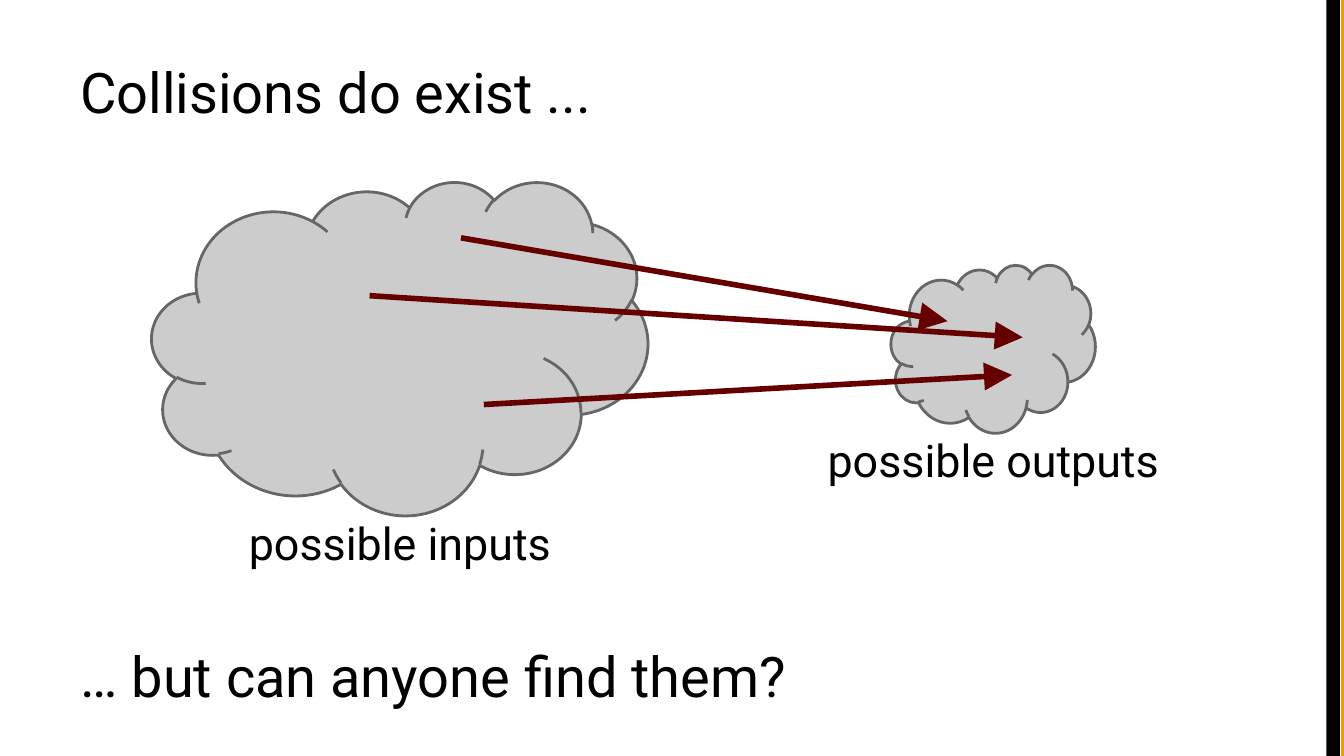
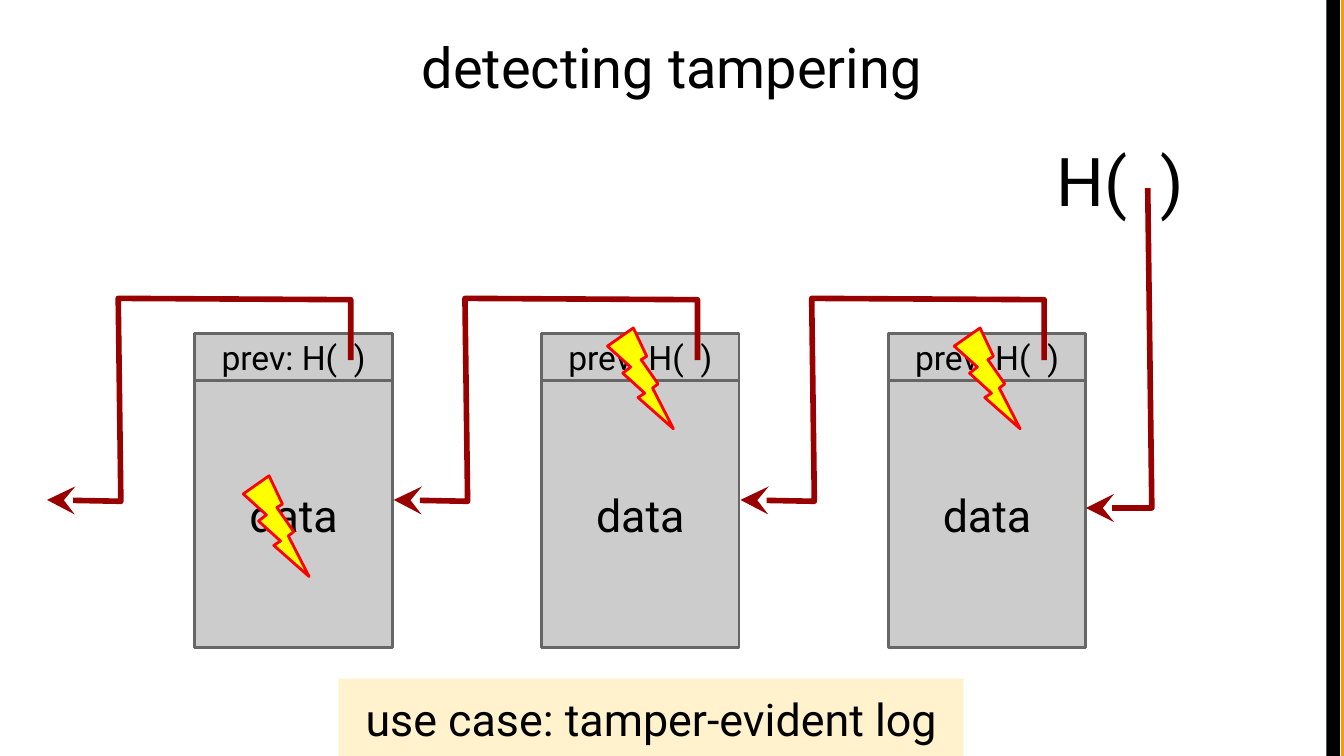
import pptx
import pptx.util
import pptx.dml.color
import pptx.enum.shapes
import pptx.enum.text
import pptx.oxml.ns
import lxml.etree

RGB = pptx.dml.color.RGBColor
KIND = pptx.enum.shapes.MSO_SHAPE
ALIGN = pptx.enum.text.PP_ALIGN
ANCHOR = pptx.enum.text.MSO_ANCHOR

PX = 9144  # 100 px to the inch
WIDE, HIGH = 1000, 563
FONT = "Roboto"

BLACK = RGB(0x00, 0x00, 0x00)
ORANGE = RGB(0xFF, 0x99, 0x00)
GREY = RGB(0xCC, 0xCC, 0xCC)
EDGE = RGB(0x66, 0x66, 0x66)
MAROON = RGB(0x66, 0x00, 0x00)
CRIMSON = RGB(0x99, 0x00, 0x00)
CREAM = RGB(0xFF, 0xF2, 0xCC)
YELLOW = RGB(0xFF, 0xFF, 0x00)
RED = RGB(0xFF, 0x00, 0x00)


def scale(box):
    return [n * PX for n in box]


def write(shape, text, size, align, anchor=ANCHOR.TOP):
    frame = shape.text_frame
    frame.word_wrap = True
    frame.vertical_anchor = anchor
    frame.margin_left = frame.margin_right = 10 * PX
    frame.margin_top = frame.margin_bottom = 10 * PX
    para = frame.paragraphs[0]
    para.alignment = align
    run = para.add_run()
    run.text = text
    run.font.name = FONT
    run.font.size = pptx.util.Pt(size)
    run.font.color.rgb = BLACK


def label(shapes, box, text, size, align=ALIGN.CENTER):
    write(shapes.add_textbox(*scale(box)), text, size, align)


def solid(shapes, kind, box, fill, line=None):
    shape = shapes.add_shape(kind, *scale(box))
    shape.shadow.inherit = False
    shape.fill.solid()
    shape.fill.fore_color.rgb = fill
    if line is None:
        shape.line.fill.background()
    else:
        shape.line.color.rgb = line
        shape.line.width = pptx.util.Pt(1.5)
    return shape


def point(shape, color, head):
    """Style a line or path and put a large arrowhead at its end."""
    shape.line.color.rgb = color
    shape.line.width = pptx.util.Pt(3)
    edge = shape.line._get_or_add_ln()
    lxml.etree.SubElement(edge, pptx.oxml.ns.qn("a:round"))
    lxml.etree.SubElement(edge, pptx.oxml.ns.qn("a:tailEnd"),
                          type=head, w="lg", len="lg")


def arrow(shapes, start, end):
    line = shapes.add_connector(
        pptx.enum.shapes.MSO_CONNECTOR.STRAIGHT, *scale(start + end))
    point(line, MAROON, "triangle")
    lxml.etree.SubElement(
        line._element.spPr, pptx.oxml.ns.qn("a:effectLst"))


def hook(shapes, left, top, dots):
    """Draw a bent arrow through dots measured from left, top."""
    dots = [(left + x, top + y) for x, y in dots]
    pen = shapes.build_freeform(*dots[0], scale=PX)
    pen.add_line_segments(dots[1:], close=False)
    path = pen.convert_to_shape()
    path.shadow.inherit = False
    path.fill.background()
    point(path, CRIMSON, "stealth")


def start(deck):
    """Add a blank slide with the bands at its right edge."""
    shapes = deck.slides.add_slide(deck.slide_layouts[6]).shapes
    for left, fill in ((998, ORANGE), (987, BLACK)):
        solid(shapes, KIND.RECTANGLE, (left, 0, 10, HIGH), fill)
    return shapes


def cloud(shapes, box, text, drop, width):
    """Draw a cloud with a caption drop px from its lower edge."""
    left, top, wide, high = box
    solid(shapes, KIND.CLOUD, box, GREY, EDGE)
    mid = left + wide // 2
    label(shapes, (mid - width // 2, top + high + drop, width, 50), text, 24)


def block(shapes, box):
    """Draw a data block with its header and the pointer to the left."""
    left, top, wide, high = box
    head = 35
    group = shapes.add_group_shape().shapes
    for text, size, y, tall in (("data", 24, head, high - head),
                                ("prev: H(  )", 18, 0, head)):
        part = solid(group, KIND.RECTANGLE, (left, top + y, wide, tall),
                     GREY, EDGE)
        write(part, text, size, ALIGN.CENTER, ANCHOR.MIDDLE)
    hook(shapes, left, top,
         [(116, 20), (116, -25), (-57, -26), (-55, 125), (-110, 124)])


def collide(deck):
    shapes = start(deck)
    label(shapes, (50, 33, 900, 95), "Collisions do exist ...", 30, ALIGN.LEFT)
    cloud(shapes, (113, 135, 369, 248), "possible inputs", -9, 255)
    cloud(shapes, (663, 197, 152, 125), "possible outputs", -10, 282)
    for tail, tip in (((343, 177), (705, 239)),
                      ((360, 301), (753, 279)),
                      ((275, 220), (761, 251))):
        arrow(shapes, tail, tip)
    label(shapes, (50, 467, 900, 95), "… but can anyone find them?", 30,
          ALIGN.LEFT)


def tamper(deck):
    shapes = start(deck)
    label(shapes, (50, 14, 900, 75), "detecting tampering", 30)
    top, wide, high = 248, 147, 234
    lefts = [145 + 258 * i for i in range(3)]
    for left in lefts:
        block(shapes, (left, top, wide, high))
    label(shapes, (776, 94, 155, 50), "H(  )", 36, ALIGN.LEFT)
    hook(shapes, lefts[-1] + wide, top, [(46, -108), (49, 130), (0, 130)])
    note = solid(shapes, KIND.RECTANGLE, (252, 505, 465, 62), CREAM)
    write(note, "use case: tamper-evident log", 24, ALIGN.CENTER)
    for left, (x, y) in zip(lefts, ((36, 106), (49, -4), (49, -4))):
        solid(shapes, KIND.LIGHTNING_BOLT, (left + x, top + y, 49, 75),
              YELLOW, RED)


def main():
    deck = pptx.Presentation()
    deck.slide_width = WIDE * PX
    deck.slide_height = deck.slide_width * 9 // 16
    collide(deck)
    tamper(deck)
    deck.save("out.pptx")


if __name__ == "__main__":
    main()
